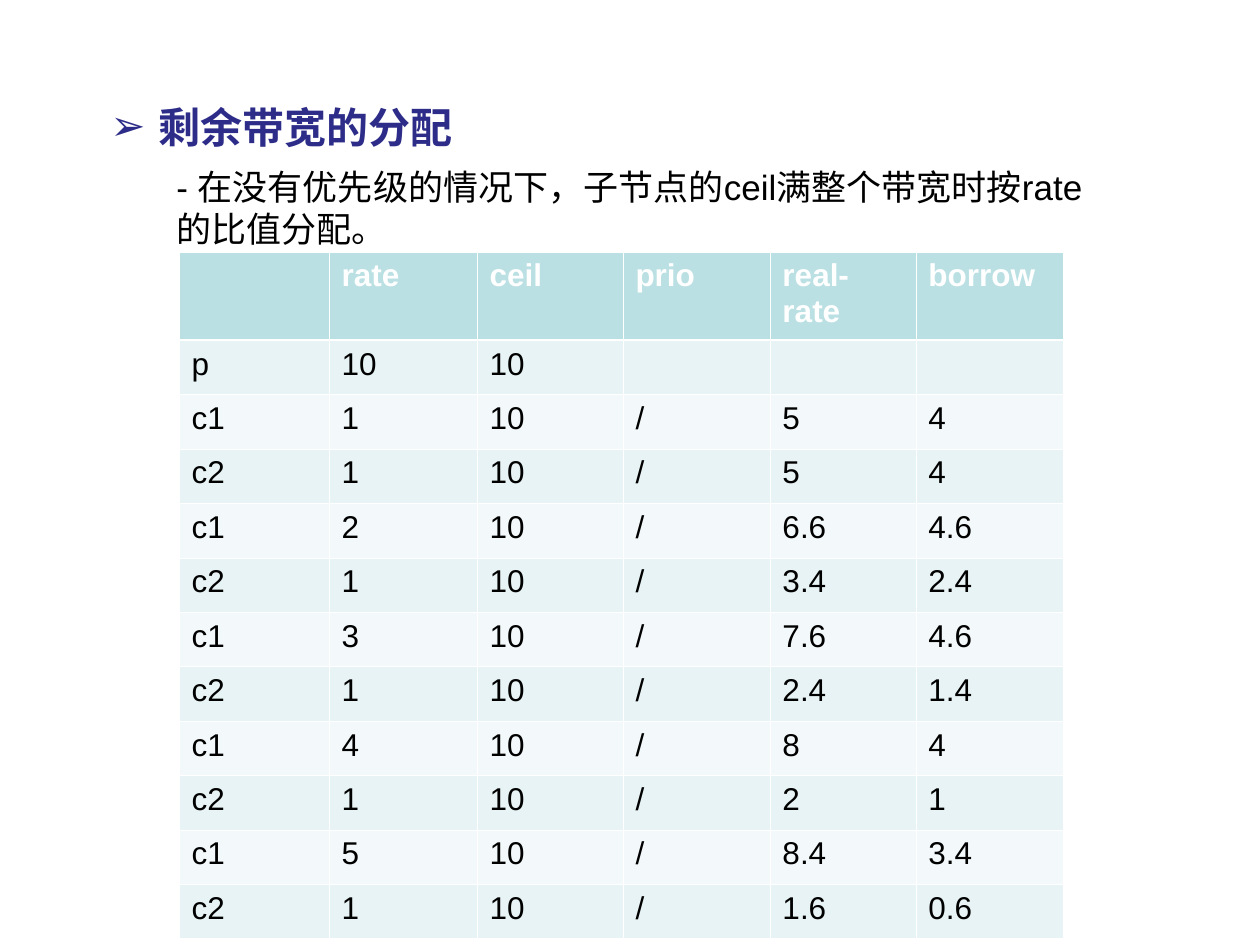
"""Build a slide on how leftover bandwidth is shared among child nodes."""
from pptx import Presentation, util as u
from pptx.dml.color import RGBColor
from pptx.enum import text as t
from pptx.oxml import parse_xml
from pptx.oxml.ns import nsdecls

PX = 914400 / 126
COLORS = {
    "title": "2D2D89",
    "body": "000000",
    "white": "FFFFFF",
    "header": "BBE0E3",
    "odd": "E7F3F4",
    "even": "F3F9FA",
}
COLUMNS = [150, 148, 146, 147, 146, 147]
HEADER = ["", "rate", "ceil", "prio", "real-rate", "borrow"]
PARENT = ["p", "10", "10", "", "", ""]
SHARES = [
    ("1", "5", "4", "5", "4"),
    ("2", "6.6", "4.6", "3.4", "2.4"),
    ("3", "7.6", "4.6", "2.4", "1.4"),
    ("4", "8", "4", "2", "1"),
    ("5", "8.4", "3.4", "1.6", "0.6"),
]


def px(length):
    return u.Emu(round(length * PX))


def write(paragraph, words, size=18, color="body", bold=False, font="Arial"):
    run = paragraph.add_run()
    run.text = words
    run.font.size = u.Pt(size)
    run.font.name = font
    run.font.bold = bold
    run.font.color.rgb = RGBColor.from_string(COLORS[color])


class Deck:
    def __init__(self, width, height):
        self.presentation = Presentation()
        self.presentation.slide_width = px(width)
        self.presentation.slide_height = px(height)
        self.slide = self.presentation.slides.add_slide(self.presentation.slide_layouts[6])

    def text(self, left, top, width, height, words, bullet=None, **style):
        shape = self.slide.shapes.add_textbox(px(left), px(top), px(width), px(height))
        shape.text_frame.word_wrap = True
        shape.text_frame.auto_size = t.MSO_AUTO_SIZE.SHAPE_TO_FIT_TEXT
        paragraph = shape.text_frame.paragraphs[0]
        if bullet:
            self.bullet(paragraph, bullet, style["color"])
        write(paragraph, words, **style)

    def bullet(self, paragraph, mark, color, indent=48):
        properties = paragraph._p.get_or_add_pPr()
        properties.set("marL", str(px(indent)))
        properties.set("indent", str(-px(indent)))
        for element in (
            f'<a:buClr {nsdecls("a")}><a:srgbClr val="{COLORS[color]}"/></a:buClr>',
            f'<a:buFont {nsdecls("a")} typeface="Wingdings"/>' if mark < "\x7f" else
            f'<a:buFont {nsdecls("a")} typeface="Arial"/>',
            f'<a:buChar {nsdecls("a")} char="{mark}"/>',
        ):
            properties.append(parse_xml(element))

    def borders(self, cell, **widths):
        properties = cell._tc.get_or_add_tcPr()
        for index, side in enumerate("LRTB"):
            width = u.Pt(widths.get(side, 0.45))
            properties.insert(index, parse_xml(
                f'<a:ln{side} {nsdecls("a")} w="{width}"><a:solidFill>'
                f'<a:srgbClr val="{COLORS["white"]}"/></a:solidFill></a:ln{side}>'))

    def table(self, left, top, height, header_height, columns, rows):
        frame = self.slide.shapes.add_table(
            len(rows), len(columns), px(left), px(top), px(sum(columns)), px(height))
        table = frame.table
        for column, width in zip(table.columns, columns):
            column.width = px(width)
        row_height = (height - header_height) / (len(rows) - 1)
        for index, values in enumerate(rows):
            is_header = index == 0
            table.rows[index].height = px(header_height if is_header else row_height)
            fill = "header" if is_header else ("even", "odd")[index % 2]
            heavy = {0: {"B": 1.47}, 1: {"T": 1.47}}.get(index, {})
            for cell, value in zip(table.rows[index].cells, values):
                cell.fill.solid()
                cell.fill.fore_color.rgb = RGBColor.from_string(COLORS[fill])
                self.borders(cell, **heavy)
                if value:
                    write(cell.text_frame.paragraphs[0], value, bold=is_header,
                          color="white" if is_header else "body")

    def save(self):
        self.presentation.save("out.pptx")


def main():
    deck = Deck(1260, 945)
    deck.text(98, 95, 435, 63, "剩余带宽的分配", bullet="➢", size=24, color="title", bold=True)
    deck.text(164, 159, 934, 97,
              "- 在没有优先级的情况下，子节点的ceil满整个带宽时按rate的比值分配。", size=20)
    rows = [HEADER, PARENT]
    for rate, real_first, borrow_first, real_second, borrow_second in SHARES:
        rows.append(["c1", rate, "10", "/", real_first, borrow_first])
        rows.append(["c2", "1", "10", "/", real_second, borrow_second])
    deck.table(179, 252, 687, 88, COLUMNS, rows)
    deck.save()


if __name__ == "__main__":
    main()
